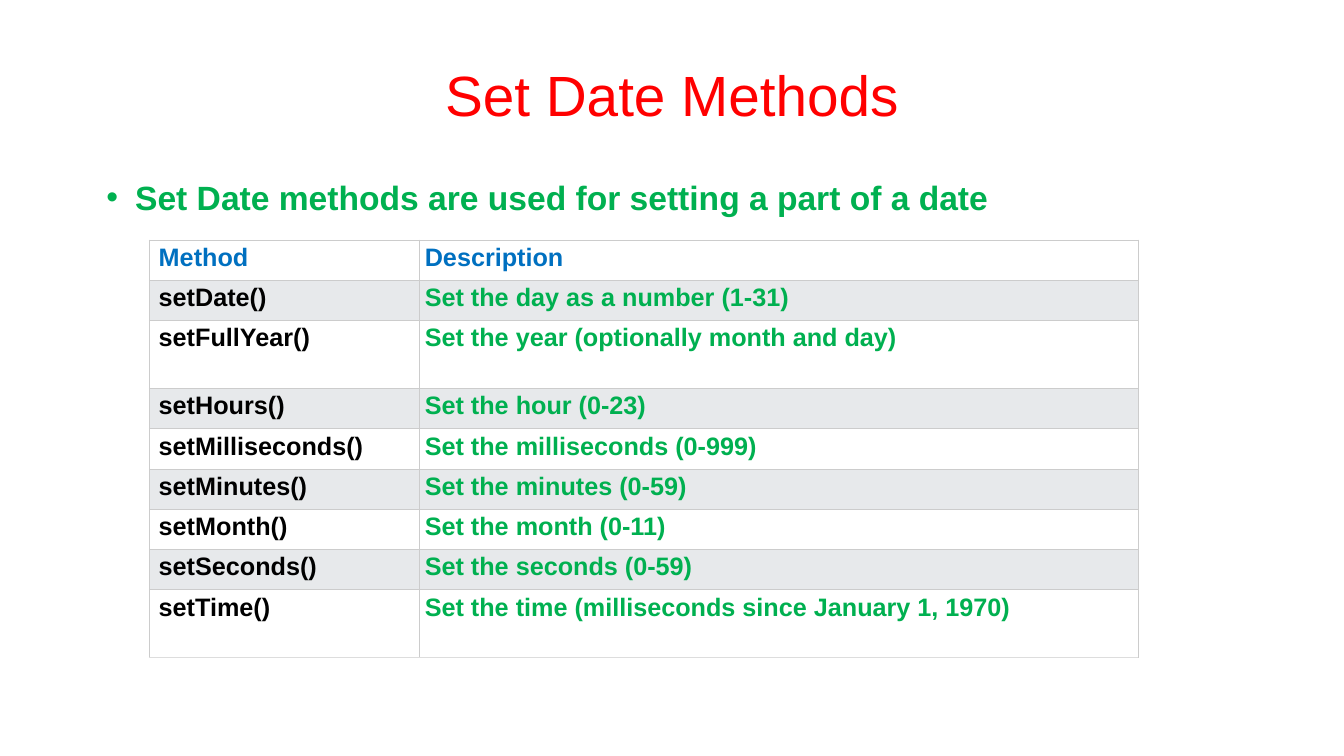
from dataclasses import dataclass

from lxml.etree import SubElement
from pptx import Presentation
from pptx.dml.color import RGBColor
from pptx.enum.text import MSO_ANCHOR, MSO_AUTO_SIZE, PP_ALIGN
from pptx.oxml.ns import qn
from pptx.util import Inches, Pt


@dataclass(frozen=True)
class Theme:
    font: str = "Arial"
    title: str = "FF0000"
    heading: str = "0070C0"
    method: str = "000000"
    accent: str = "00B050"
    plain: str = "FFFFFF"
    band: str = "E7E9EB"
    border: str = "CCCCCC"
    last_border: str = "DDDDDD"
    title_size: int = 54
    summary_size: int = 32
    table_size: int = 24
    border_width: float = 0.28


THEME = Theme()

METHODS = [
    ("Method", "Description"),
    ("setDate()", "Set the day as a number (1-31)"),
    ("setFullYear()", "Set the year (optionally month and day)"),
    ("setHours()", "Set the hour (0-23)"),
    ("setMilliseconds()", "Set the milliseconds (0-999)"),
    ("setMinutes()", "Set the minutes (0-59)"),
    ("setMonth()", "Set the month (0-11)"),
    ("setSeconds()", "Set the seconds (0-59)"),
    ("setTime()", "Set the time (milliseconds since January 1, 1970)"),
]
TALL_ROWS = {2, 8}


def style(paragraph, size, color, bold=False):
    font = paragraph.font
    font.name = THEME.font
    font.size = Pt(size)
    font.bold = bold
    font.color.rgb = RGBColor.from_string(color)


def set_margins(holder, left, top, right, bottom):
    holder.margin_left, holder.margin_top = Inches(left), Inches(top)
    holder.margin_right, holder.margin_bottom = Inches(right), Inches(bottom)


def place_title(title, left, top, width, height):
    title.left, title.top = Inches(left), Inches(top)
    title.width, title.height = Inches(width), Inches(height)
    frame = title.text_frame
    frame.text = "Set Date Methods"
    frame.vertical_anchor = MSO_ANCHOR.MIDDLE
    set_margins(frame, 0.1, 0.05, 0.1, 0.05)
    heading = frame.paragraphs[0]
    heading.alignment = PP_ALIGN.CENTER
    style(heading, THEME.title_size, THEME.title)


def add_bullet(paragraph, color, indent):
    properties = paragraph._p.get_or_add_pPr()
    properties.set("marL", str(Inches(indent)))
    properties.set("indent", str(-Inches(indent)))
    bullet_color = SubElement(properties, qn("a:buClr"))
    SubElement(bullet_color, qn("a:srgbClr"), val=color)
    SubElement(properties, qn("a:buFont"), typeface=THEME.font)
    SubElement(properties, qn("a:buChar"), char="•")


def add_summary(slide, left, top, width, height):
    box = slide.shapes.add_textbox(
        Inches(left), Inches(top), Inches(width), Inches(height))
    frame = box.text_frame
    frame.word_wrap = True
    frame.auto_size = MSO_AUTO_SIZE.SHAPE_TO_FIT_TEXT
    set_margins(frame, 0.1, 0.05, 0.1, 0.05)
    summary = frame.paragraphs[0]
    summary.text = "Set Date methods are used for setting a part of a date"
    add_bullet(summary, THEME.accent, 0.38)
    style(summary, THEME.summary_size, THEME.accent, bold=True)


def add_borders(cell, bottom_color):
    properties = cell._tc.get_or_add_tcPr()
    sides = {"L": THEME.border, "R": THEME.border,
             "T": THEME.border, "B": bottom_color}
    for side, color in sides.items():
        line = SubElement(properties, qn(f"a:ln{side}"),
                          w=str(Pt(THEME.border_width)))
        fill = SubElement(line, qn("a:solidFill"))
        SubElement(fill, qn("a:srgbClr"), val=color)


def fill_cell(cell, text, color, fill, left_margin, bottom_color):
    cell.text = text
    set_margins(cell, left_margin, 0.05, 0.07, 0.05)
    style(cell.text_frame.paragraphs[0], THEME.table_size, color, bold=True)
    add_borders(cell, bottom_color)
    cell.fill.solid()
    cell.fill.fore_color.rgb = RGBColor.from_string(fill)


def add_methods_table(slide, left, top, width, height):
    table = slide.shapes.add_table(
        len(METHODS), 2, Inches(left), Inches(top),
        Inches(width), Inches(height)).table
    method_width, tall_height = 3.58, 0.9
    short_height = (height - tall_height * len(TALL_ROWS)) / (
        len(METHODS) - len(TALL_ROWS))
    table.columns[0].width = Inches(method_width)
    table.columns[1].width = Inches(width - method_width)
    last = len(METHODS) - 1
    for row, entry in enumerate(METHODS):
        table.rows[row].height = Inches(
            tall_height if row in TALL_ROWS else short_height)
        colors = (THEME.method, THEME.accent) if row else (THEME.heading,) * 2
        fill = THEME.band if row % 2 else THEME.plain
        bottom_color = THEME.last_border if row == last else THEME.border
        for column, left_margin in enumerate((0.13, 0.07)):
            fill_cell(table.cell(row, column), entry[column], colors[column],
                      fill, left_margin, bottom_color)


def main():
    deck = Presentation()
    deck.slide_width, deck.slide_height = Inches(17.78), Inches(10)
    slide = deck.slides.add_slide(deck.slide_layouts[5])
    place_title(slide.shapes.title, 0.89, 0.4, 16, 1.67)
    add_methods_table(slide, 1.97, 3.17, 13.08, 5.53)
    add_summary(slide, 1.31, 2.29, 13.58, 0.64)
    deck.save("out.pptx")


if __name__ == "__main__":
    main()
